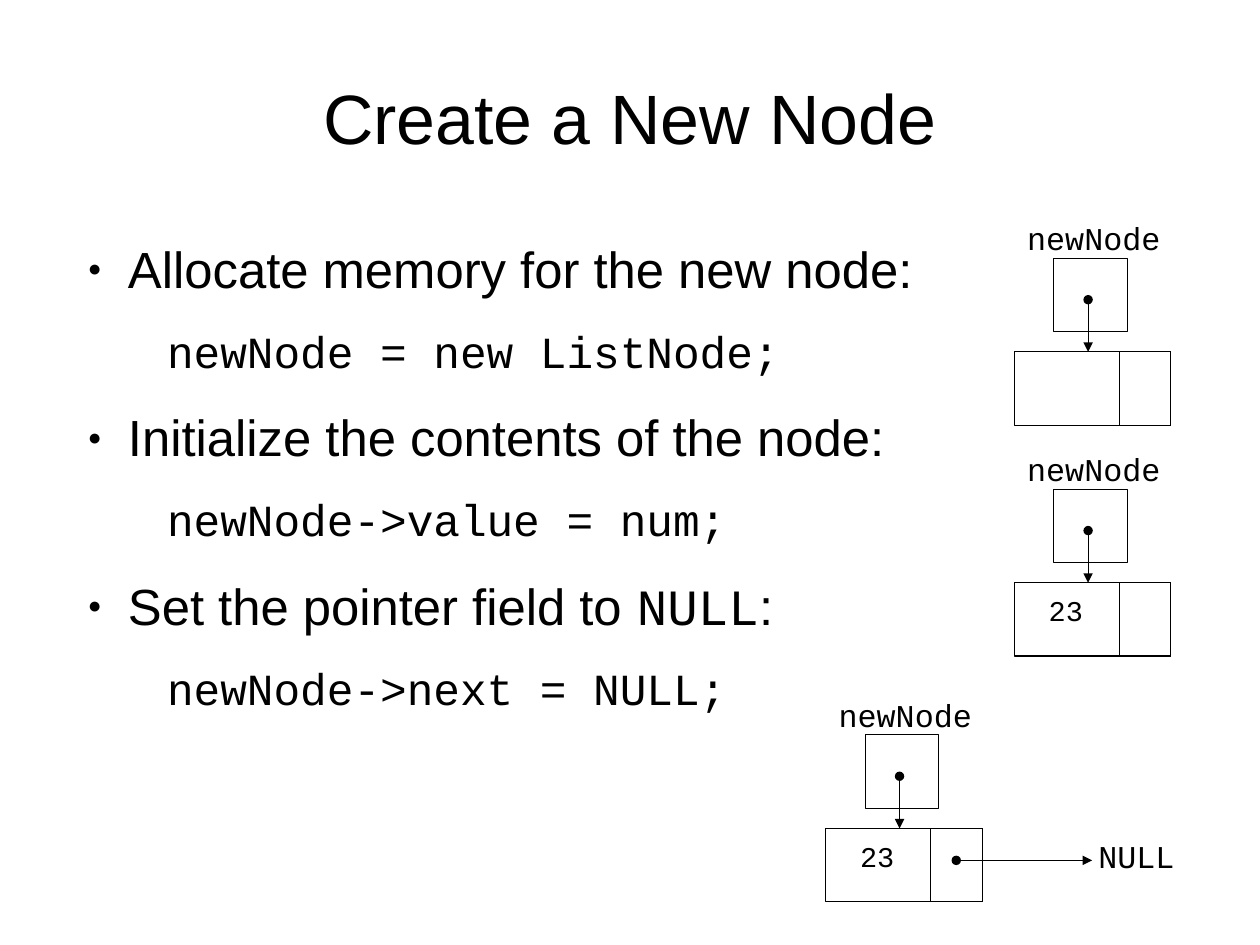
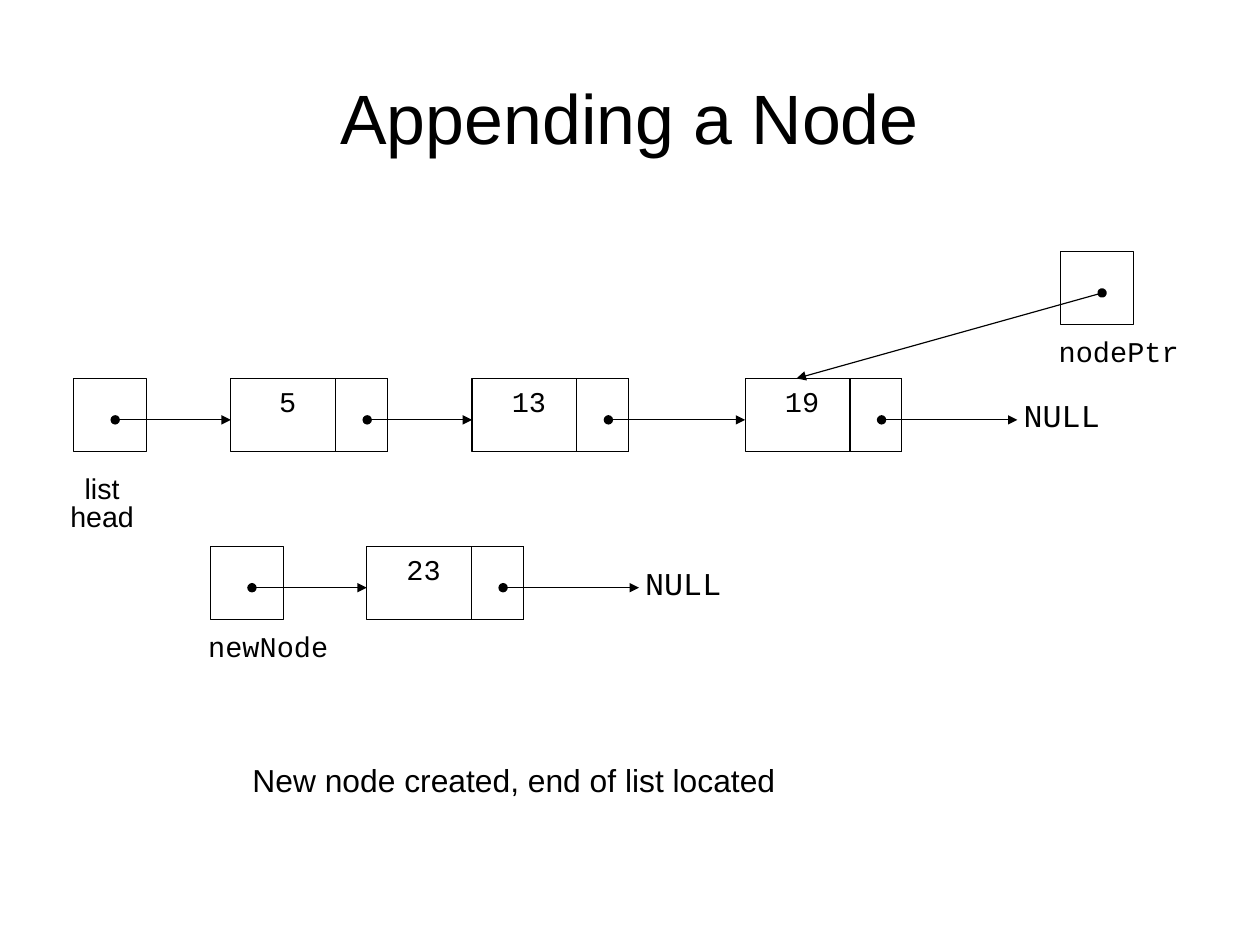
from dataclasses import dataclass

from lxml import etree
from pptx import Presentation
from pptx.dml.color import RGBColor
from pptx.enum import shapes as kinds, text as t
from pptx.oxml import ns
from pptx.shapes import shapetree
from pptx.util import Cm, Pt

COLOURS = {"ink": "000000", "paper": "FFFFFF"}
SANS, MONO = "Arial", "Courier New"
LINE_WIDTH = Pt(0.75)

# Sizes shared by all diagrams, in centimetres
CELL = 1.63
NODE_WIDTH, LINK_WIDTH = 3.48, 1.15
NULL_ARROW = 3.02


@dataclass(frozen=True)
class NodeStyle:
    """Offsets of the value and of the link's dot from the node's corner."""
    value_x: float
    value_y: float
    link_x: float
    link_y: float


STACKED = NodeStyle(0.51, 0.1, 2.9, 0.71)
INLINE = NodeStyle(0.63, 0, 3.03, 0.92)


@dataclass(frozen=True)
class Node:
    left: float
    top: float
    value: str
    style: NodeStyle

    @property
    def link(self) -> tuple[float, float]:
        return self.left + self.style.link_x, self.top + self.style.link_y


@dataclass(frozen=True)
class Label:
    """A text box; each line of text is a paragraph."""
    left: float
    top: float
    width: float
    height: float
    text: str
    size: float = 18
    font: str = MONO
    spacing: float = 0.8
    align: t.PP_ALIGN = t.PP_ALIGN.CENTER


@dataclass(frozen=True)
class Step:
    """A bullet, given as (text, font) runs, and the code below it."""
    runs: tuple[tuple[str, str], ...]
    code: str


def ink() -> RGBColor:
    return RGBColor.from_string(COLOURS["ink"])


def set_font(font, size: float, name: str) -> None:
    font.size, font.name = Pt(size), name
    font.color.rgb = ink()


# Diagram parts
def draw_cell(parts: shapetree.GroupShapes, left: float, top: float,
              width: float = CELL) -> None:
    cell = parts.add_shape(kinds.MSO_SHAPE.RECTANGLE,
                           Cm(left), Cm(top), Cm(width), Cm(CELL))
    cell.shadow.inherit = False
    cell.fill.background()
    cell.line.color.rgb = ink()
    cell.line.width = LINE_WIDTH


def draw_label(parts, label: Label) -> None:
    box = parts.add_textbox(Cm(label.left), Cm(label.top),
                            Cm(label.width), Cm(label.height))
    frame = box.text_frame
    frame.word_wrap = False
    frame.auto_size = t.MSO_AUTO_SIZE.SHAPE_TO_FIT_TEXT
    frame.text = label.text
    for paragraph in frame.paragraphs:
        paragraph.alignment = label.align
        paragraph.line_spacing = label.spacing
        set_font(paragraph.font, label.size, label.font)


def draw_arrow(parts: shapetree.GroupShapes, start: tuple[float, float],
               end: tuple[float, float]) -> None:
    arrow = parts.add_connector(kinds.MSO_CONNECTOR.STRAIGHT,
                                *(Cm(value) for value in (*start, *end)))
    arrow.line.color.rgb = ink()
    arrow.line.width = LINE_WIDTH
    properties = arrow.element.spPr
    line = properties.find(ns.qn("a:ln"))
    for tag, kind in (("a:headEnd", "oval"), ("a:tailEnd", "triangle")):
        etree.SubElement(line, ns.qn(tag), type=kind)
    etree.SubElement(properties, ns.qn("a:effectLst"))


def draw_node(parts: shapetree.GroupShapes, node: Node) -> None:
    draw_cell(parts, node.left, node.top, NODE_WIDTH)
    draw_cell(parts, node.left + NODE_WIDTH - LINK_WIDTH, node.top, LINK_WIDTH)
    if node.value:
        draw_label(parts, Label(node.left + node.style.value_x,
                                node.top + node.style.value_y,
                                1.27, 1.02, node.value, spacing=1))


def draw_null(parts: shapetree.GroupShapes, node: Node) -> None:
    x, y = node.link
    end = x + NULL_ARROW
    draw_arrow(parts, (x, y), (end, y))
    draw_label(parts, Label(end - 0.12, y - 0.83, 2.21, 1.27, "NULL", 20,
                            spacing=1.2))


def draw_stack(slide, left: float, top: float, value: str,
               ends: bool = False) -> None:
    """A named pointer above the node it points to."""
    parts = slide.shapes.add_group_shape().shapes
    node = Node(left - 0.88, top + 2.08, value, STACKED)
    draw_cell(parts, left, top)
    draw_node(parts, node)
    draw_arrow(parts, (left + 0.76, top + 0.92), (left + 0.76, node.top))
    draw_label(parts, Label(left - 0.85, top - 0.83, 3.48, 0.94, "newNode", 20))
    if ends:
        draw_null(parts, node)


def draw_chain(parts: shapetree.GroupShapes, left: float, top: float,
               nodes: list[Node]) -> None:
    """A pointer followed by a row of linked nodes that ends in NULL."""
    draw_cell(parts, left, top)
    start = left + 0.93, top + 0.92
    for node in nodes:
        draw_node(parts, node)
        draw_arrow(parts, start, (node.left, start[1]))
        start = node.link
    draw_null(parts, nodes[-1])


# Placeholders
def add_slide(presentation, layout: int, title: str):
    slide = presentation.slides.add_slide(presentation.slide_layouts[layout])
    slide.background.fill.solid()
    slide.background.fill.fore_color.rgb = RGBColor.from_string(COLOURS["paper"])
    shape = slide.shapes.title
    shape.left, shape.top, shape.width, shape.height = map(
        Cm, (1.4, 0.84, 25.2, 3.5))
    frame = shape.text_frame
    frame.text = title
    frame.auto_size = t.MSO_AUTO_SIZE.NONE
    frame.vertical_anchor = t.MSO_ANCHOR.MIDDLE
    paragraph = frame.paragraphs[0]
    paragraph.alignment = t.PP_ALIGN.CENTER
    set_font(paragraph.font, 44, SANS)
    return slide


def format_bullet(paragraph) -> None:
    properties = paragraph._p.get_or_add_pPr()
    properties.set("marL", str(Cm(1.19)))
    properties.set("indent", str(Cm(-0.89)))
    colour = etree.SubElement(properties, ns.qn("a:buClr"))
    etree.SubElement(colour, ns.qn("a:srgbClr"), val=COLOURS["ink"])
    etree.SubElement(properties, ns.qn("a:buSzPct"), val="45000")
    etree.SubElement(properties, ns.qn("a:buChar"), char="●")
    set_font(paragraph.font, 32, SANS)


def format_code(paragraph) -> None:
    paragraph.level = 1
    properties = paragraph._p.get_or_add_pPr()
    properties.set("marL", str(Cm(2.06)))
    properties.set("indent", "0")
    etree.SubElement(properties, ns.qn("a:buNone"))
    set_font(paragraph.font, 28, MONO)


def fill_steps(body, steps: list[Step]) -> None:
    body.left, body.top, body.width, body.height = map(
        Cm, (1.4, 5.31, 23.83, 11.96))
    frame = body.text_frame
    frame.auto_size = t.MSO_AUTO_SIZE.NONE
    for index, step in enumerate(steps):
        bullet = frame.add_paragraph() if index else frame.paragraphs[0]
        format_bullet(bullet)
        for words, font in step.runs:
            run = bullet.add_run()
            run.text = words
            if font != SANS:
                run.font.name = font
        code = frame.add_paragraph()
        format_code(code)
        code.add_run().text = step.code
        bullet.space_before = Pt(22 if index else 0)
        code.space_before = Pt(19.2)
        bullet.line_spacing = code.line_spacing = 0.9


# Slides
def build_create(presentation) -> None:
    slide = add_slide(presentation, 1, "Create a New Node")
    fill_steps(slide.placeholders[1], [
        Step((("Allocate memory for the new node:", SANS),),
             "newNode = new ListNode;"),
        Step((("Initialize the contents of the node:", SANS),),
             "newNode->value = num;"),
        Step((("Set the pointer field to ", SANS), ("NULL", MONO), (":", SANS)),
             "newNode->next = NULL;"),
    ])
    draw_stack(slide, 23.42, 5.74, "")
    draw_stack(slide, 23.42, 10.87, "23")
    draw_stack(slide, 19.23, 16.33, "23", ends=True)


def build_append(presentation) -> None:
    slide = add_slide(presentation, 5, "Appending a Node")
    parts = slide.shapes.add_group_shape().shapes

    # Existing list
    head, row = 1.63, 8.41
    nodes = [Node(left, row, value, INLINE)
             for left, value in ((5.13, "5"), (10.49, "13"), (16.56, "19"))]
    draw_chain(parts, head, row, nodes)
    draw_label(parts, Label(head - 0.91, row + 2.08, 3.1, 1.47,
                            "list\nhead", font=SANS))

    # New node
    new, new_row = 4.67, 12.14
    draw_chain(parts, new, new_row, [Node(8.15, new_row, "23", INLINE)])

    # Pointer to the last node
    last, last_row = 23.57, 5.59
    draw_cell(parts, last, last_row)
    draw_arrow(parts, (last + 0.92, last_row + 0.92),
               (nodes[-1].left + 1.14, row))

    for left, top, name in ((new, new_row, "newNode"),
                            (last, last_row, "nodePtr")):
        draw_label(parts, Label(left - 0.3, top + 1.86, 3.18, 0.86, name))

    draw_label(slide.shapes, Label(5.36, 16.79, 13.34, 1.12,
                                   "New node created, end of list located",
                                   20, SANS, 1, t.PP_ALIGN.LEFT))


def main() -> None:
    presentation = Presentation()
    presentation.slide_width, presentation.slide_height = Cm(28), Cm(21)
    build_create(presentation)
    build_append(presentation)
    presentation.save("out.pptx")


if __name__ == "__main__":
    main()
